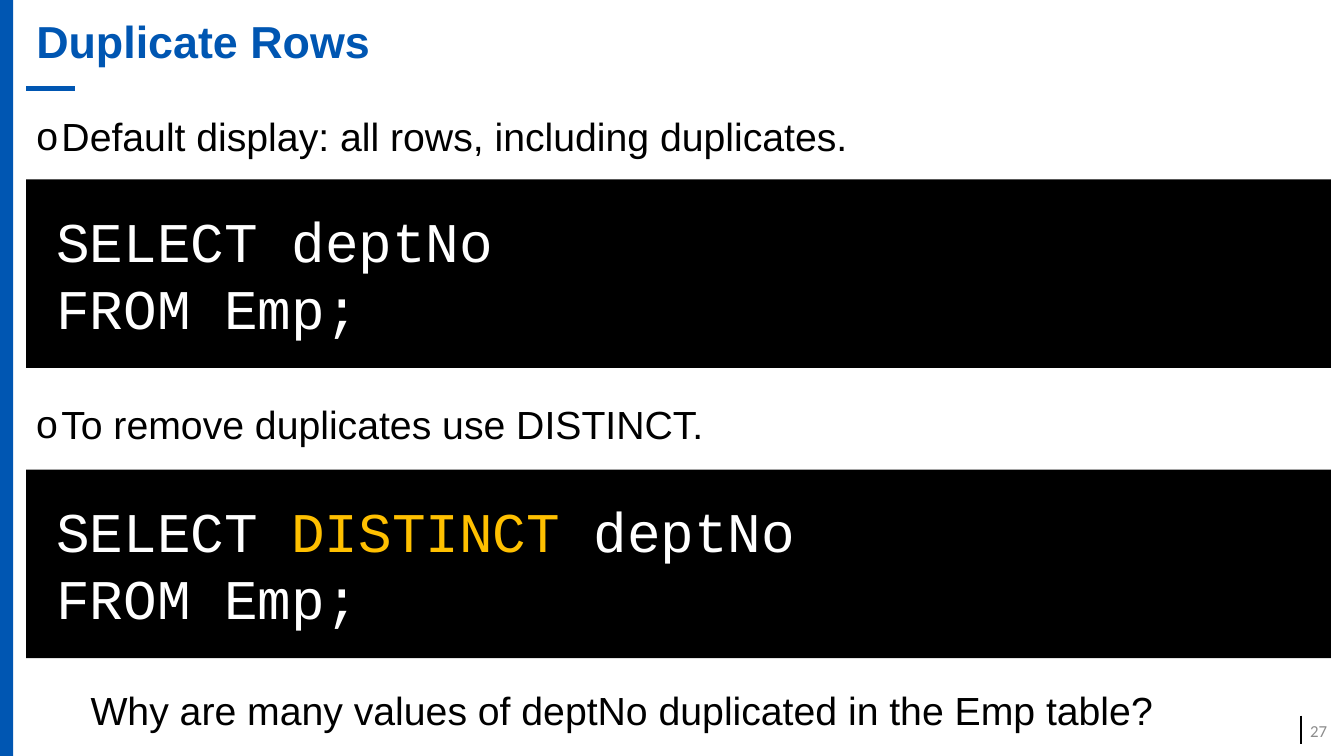
from dataclasses import dataclass

from lxml import etree
from pptx import Presentation
from pptx import util as u
from pptx.dml.color import RGBColor
from pptx.enum import shapes, text
from pptx.oxml import ns

COLOURS = {
    "blue": "0056B2",
    "black": "000000",
    "white": "FFFFFF",
    "amber": "FFC000",
    "grey": "8C8C8C",
}
LEFT, WIDTH = 0.26, 12.94


@dataclass
class Statement:
    top: float
    text: str
    margin: float
    bullet: bool


@dataclass
class Query:
    top: float
    lines: list[list[tuple[str, str]]]


@dataclass
class Rule:
    start: tuple[float, float]
    end: tuple[float, float]
    colour: str
    weight: float


STATEMENTS = [
    Statement(1.12, "Default display: all rows, including duplicates.", 0.25, True),
    Statement(3.98, "To remove duplicates use DISTINCT.", 0.25, True),
    Statement(6.81, "Why are many values of deptNo duplicated in the Emp table?", 0.54, False),
]
FROM_EMP = [("FROM Emp;", "white")]
QUERIES = [
    Query(1.78, [[("SELECT deptNo", "white")], FROM_EMP]),
    Query(4.66, [[("SELECT ", "white"), ("DISTINCT ", "amber"), ("deptNo", "white")], FROM_EMP]),
]
RULES = [
    Rule((12.9, 7.1), (12.9, 7.38), "black", 1.5),
    Rule((0.74, 0.88), (0.26, 0.88), "blue", 4),
]


def rgb(name: str) -> RGBColor:
    return RGBColor.from_string(COLOURS[name])


def place(shape, left: float, top: float, width: float, height: float) -> None:
    shape.left, shape.top = u.Inches(left), u.Inches(top)
    shape.width, shape.height = u.Inches(width), u.Inches(height)


def style(run, font: str, size: float, colour: str, bold: bool = False) -> None:
    run.font.name, run.font.size, run.font.bold = font, u.Pt(size), bold
    run.font.color.rgb = rgb(colour)


def indent(paragraph, margin: float, first: float = 0) -> None:
    properties = paragraph._p.get_or_add_pPr()
    properties.set("marL", str(u.Inches(margin)))
    properties.set("indent", str(u.Inches(first)))


def add_bar(slide, left: float, top: float, width: float, height: float, colour: str):
    bar = slide.shapes.add_shape(
        shapes.MSO_SHAPE.RECTANGLE,
        u.Inches(left), u.Inches(top), u.Inches(width), u.Inches(height),
    )
    bar.shadow.inherit = False
    bar.fill.solid()
    bar.fill.fore_color.rgb = rgb(colour)
    bar.line.fill.background()
    return bar


def add_rule(slide, rule: Rule) -> None:
    line = slide.shapes.add_connector(
        shapes.MSO_CONNECTOR.STRAIGHT, *map(u.Inches, rule.start + rule.end)
    )
    line.line.color.rgb = rgb(rule.colour)
    line.line.width = u.Pt(rule.weight)
    etree.SubElement(line._element.spPr, ns.qn("a:effectLst"))


def write_title(title) -> None:
    place(title, LEFT, 0, WIDTH, 0.88)
    frame = title.text_frame
    frame.text = "Duplicate Rows"
    frame.auto_size = text.MSO_AUTO_SIZE.NONE
    frame.vertical_anchor = text.MSO_ANCHOR.MIDDLE
    heading = frame.paragraphs[0]
    heading.alignment = text.PP_ALIGN.LEFT
    heading.line_spacing = 0.9
    style(heading.runs[0], "Arial", 32, "blue", True)


def write_statement(shape, statement: Statement) -> None:
    place(shape, LEFT, statement.top, WIDTH, 0.57)
    frame = shape.text_frame
    frame.text = statement.text
    frame.word_wrap = True
    frame.auto_size = text.MSO_AUTO_SIZE.NONE
    sentence = frame.paragraphs[0]
    sentence.line_spacing = 0.9
    sentence.space_before = u.Pt(10)
    style(sentence.runs[0], "Arial", 28, "black")
    indent(sentence, statement.margin, -statement.margin if statement.bullet else 0)
    if statement.bullet:
        properties = sentence._p.get_or_add_pPr()
        etree.SubElement(properties, ns.qn("a:buFont"), typeface="Arial")
        etree.SubElement(properties, ns.qn("a:buChar"), char="o")


def add_query(slide, query: Query) -> None:
    panel = add_bar(slide, LEFT, query.top, WIDTH, 1.87, "black")
    frame = panel.text_frame
    frame.vertical_anchor = text.MSO_ANCHOR.MIDDLE
    frame.text = "\n".join("" for _ in query.lines)
    for paragraph, spans in zip(frame.paragraphs, query.lines):
        paragraph.alignment = text.PP_ALIGN.LEFT
        indent(paragraph, 0.2)
        for words, colour in spans:
            run = paragraph.add_run()
            run.text = words
            style(run, "Courier New", 40, colour)


def add_page_number(slide) -> None:
    page = slide.shapes.add_textbox(
        u.Inches(12.84), u.Inches(7.05), u.Inches(0.42), u.Inches(0.4)
    )
    frame = page.text_frame
    frame.text = "27"
    frame.word_wrap = True
    frame.vertical_anchor = text.MSO_ANCHOR.MIDDLE
    frame.paragraphs[0].alignment = text.PP_ALIGN.RIGHT
    style(frame.paragraphs[0].runs[0], "Calibri", 12, "grey")


def main() -> None:
    deck = Presentation()
    deck.slide_width, deck.slide_height = u.Inches(13.33), u.Inches(7.5)
    slide = deck.slides.add_slide(deck.slide_layouts[1])
    add_bar(slide, 0, 0, 0.13, 7.5, "blue")
    for rule in RULES:
        add_rule(slide, rule)
    write_title(slide.shapes.title)
    opening, *others = STATEMENTS
    write_statement(slide.placeholders[1], opening)
    for statement in others:
        write_statement(slide.shapes.add_textbox(0, 0, 0, 0), statement)
    for query in QUERIES:
        add_query(slide, query)
    add_page_number(slide)
    deck.save("out.pptx")


if __name__ == "__main__":
    main()
